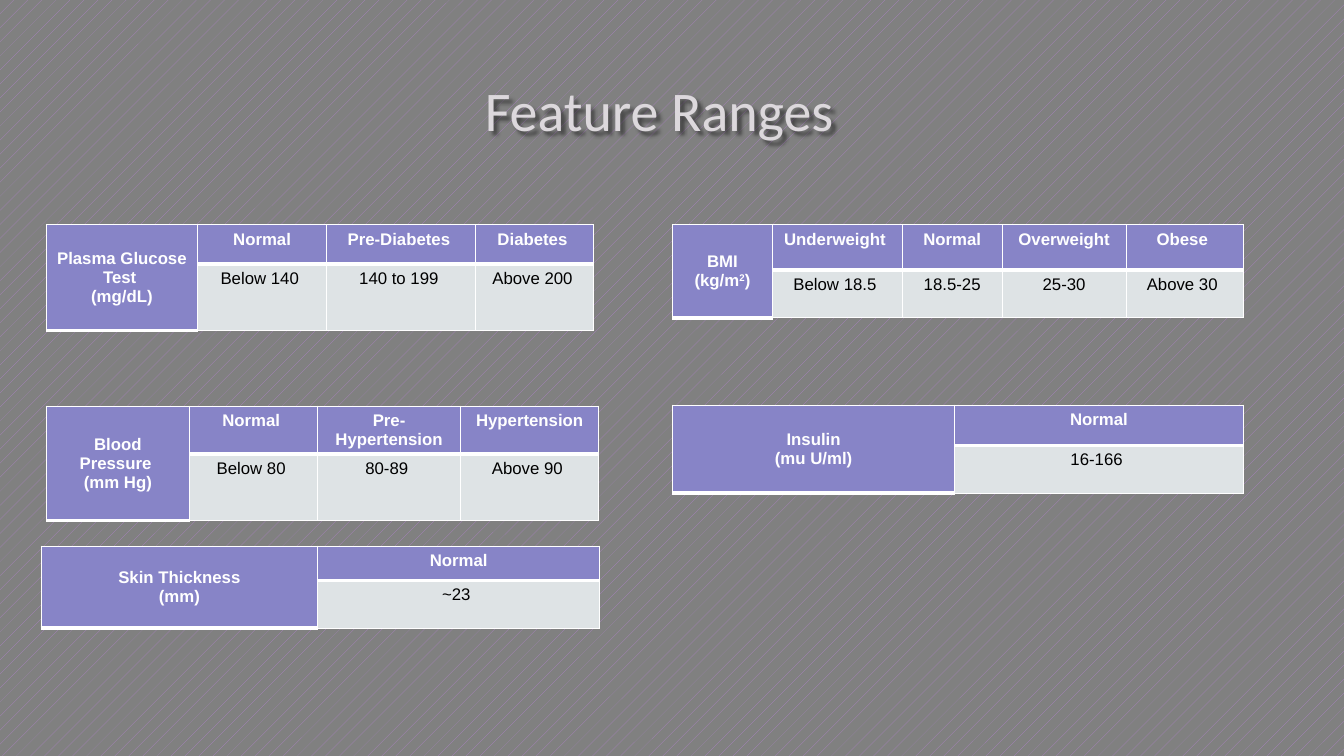
import pptx
import pptx.util
import pptx.dml.color
import pptx.enum.dml
import pptx.enum.text
import pptx.oxml
from lxml import etree

Inches = pptx.util.Inches
Pt = pptx.util.Pt

COLORS = {
    "backdrop": "808080",
    "pattern": "AD84C6",
    "title": "DCD8DC",
    "header": "8784C7",
    "body": "DEE3E5",
    "border": "FFFFFF",
    "header text": "FFFFFF",
    "body text": "000000",
}
DRAWING = "http://schemas.openxmlformats.org/drawingml/2006/main"

# Each feature: left, top, column widths, row heights, label lines, (range name, values)
FEATURES = [
    (0.46, 2.23, (1.5, 1.28, 1.48, 1.17), (0.39, 0.52),
     ("Plasma Glucose Test ", "(mg/dL)"),
     (("Normal", "Below 140 "), ("Pre-Diabetes ", "140 to 199 "),
      ("Diabetes ", "Above 200 "))),
    (0.46, 4.03, (1.42, 1.27, 1.42, 1.37), (0.47, 0.3),
     ("Blood Pressure ", "(mm Hg)"),
     (("Normal ", "Below 80 "), ("Pre-Hypertension", "80-89 "),
      ("Hypertension", "Above 90 "))),
    (6.67, 2.23, (0.99, 1.29, 0.99, 1.23, 1.16), (0.45, 0.45),
     ("BMI", "(kg/m^2^)"),
     (("Underweight ", "Below 18.5 "), ("Normal", "18.5-25"),
      ("Overweight", "25-30"), ("Obese ", "Above 30 "))),
    (0.41, 5.42, (2.74, 2.8), (0.34, 0.36),
     ("Skin Thickness", "(mm)"), (("Normal", "~23 "),)),
    (6.67, 4.02, (2.8, 2.86), (0.4, 0.4),
     ("Insulin", "(mu U/ml)"), (("Normal", "16-166 "),)),
]


def color(name):
    return pptx.dml.color.RGBColor.from_string(COLORS[name])


def set_borders(cell, top, bottom):
    """Draw white cell borders; side borders are 1 pt wide."""
    properties = cell._tc.get_or_add_tcPr()
    widths = (("lnL", 1), ("lnR", 1), ("lnT", top), ("lnB", bottom))
    for position, (side, width) in enumerate(widths):
        line = etree.Element(f"{{{DRAWING}}}{side}", w=str(Pt(width)))
        fill = etree.SubElement(line, f"{{{DRAWING}}}solidFill")
        etree.SubElement(fill, f"{{{DRAWING}}}srgbClr", val=COLORS["border"])
        properties.insert(position, line)


def write_cell(cell, lines, kind):
    """Fill a cell; text between carets is superscript."""
    cell.fill.solid()
    cell.fill.fore_color.rgb = color(kind)
    for number, line in enumerate(lines):
        frame = cell.text_frame
        para = frame.add_paragraph() if number else frame.paragraphs[0]
        para.alignment = pptx.enum.text.PP_ALIGN.CENTER
        para.font.name = "Arial"
        para.font.size = Pt(12)
        para.font.bold = kind == "header"
        para.font.color.rgb = color(f"{kind} text")
        for index, piece in enumerate(line.split("^")):
            span = para.add_run()
            span.text = piece
            if index % 2:
                span._r.get_or_add_rPr().set("baseline", "30000")


def add_feature_table(page, left, top, widths, heights, label, ranges):
    frame = page.shapes.add_table(
        2, len(widths), Inches(left), Inches(top),
        Inches(sum(widths)), Inches(sum(heights)))
    table = frame.table
    for column, width in zip(table.columns, widths):
        column.width = Inches(width)
    for row, height in zip(table.rows, heights):
        row.height = Inches(height)

    # Label cell over both rows
    label_cell = table.cell(0, 0)
    label_cell.merge(table.cell(1, 0))
    label_cell.vertical_anchor = pptx.enum.text.MSO_ANCHOR.MIDDLE
    write_cell(label_cell, label, "header")
    for row in range(2):
        set_borders(table.cell(row, 0), 1, 3)

    # Range names above their values
    for column, (name, value) in enumerate(ranges, start=1):
        write_cell(table.cell(0, column), [name], "header")
        set_borders(table.cell(0, column), 1, 3)
        write_cell(table.cell(1, column), [value], "body")
        set_borders(table.cell(1, column), 3, 1)


def add_title(page, left, top, width, height):
    title = page.shapes.title
    title.left, title.top = Inches(left), Inches(top)
    title.width, title.height = Inches(width), Inches(height)
    title.text_frame.text = "Feature Ranges "
    title.text_frame.vertical_anchor = pptx.enum.text.MSO_ANCHOR.MIDDLE
    para = title.text_frame.paragraphs[0]
    para.alignment = pptx.enum.text.PP_ALIGN.CENTER
    para.font.name = "Calibri"
    para.font.size = Pt(40)
    para.font.color.rgb = color("title")
    # Soft shadow behind the letters
    title._element.spPr.append(pptx.oxml.parse_xml(
        f'<a:effectLst xmlns:a="{DRAWING}">'
        '<a:outerShdw blurRad="38100" dist="38100" dir="2700000">'
        '<a:srgbClr val="000000"><a:alpha val="45000"/></a:srgbClr>'
        '</a:outerShdw></a:effectLst>'))


def add_background(page):
    fill = page.background.fill
    fill.patterned()
    fill.pattern = pptx.enum.dml.MSO_PATTERN.PERCENT_5
    fill.fore_color.rgb = color("pattern")
    fill.back_color.rgb = color("backdrop")


def main():
    deck = pptx.Presentation()
    deck.slide_width, deck.slide_height = Inches(13.33), Inches(7.5)
    page = deck.slides.add_slide(deck.slide_layouts[5])
    add_background(page)
    add_title(page, 0.94, 0.55, 11.32, 1.06)
    for feature in FEATURES:
        add_feature_table(page, *feature)
    deck.save("out.pptx")


if __name__ == "__main__":
    main()
